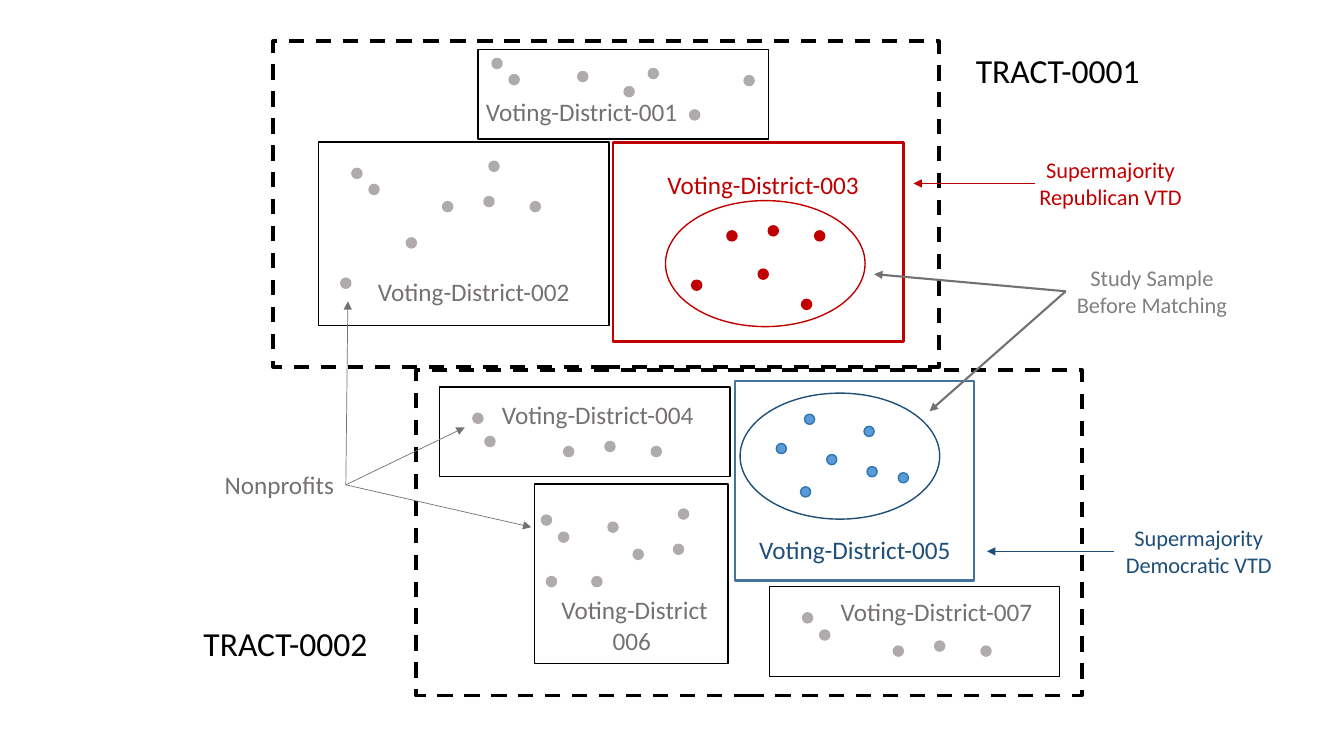
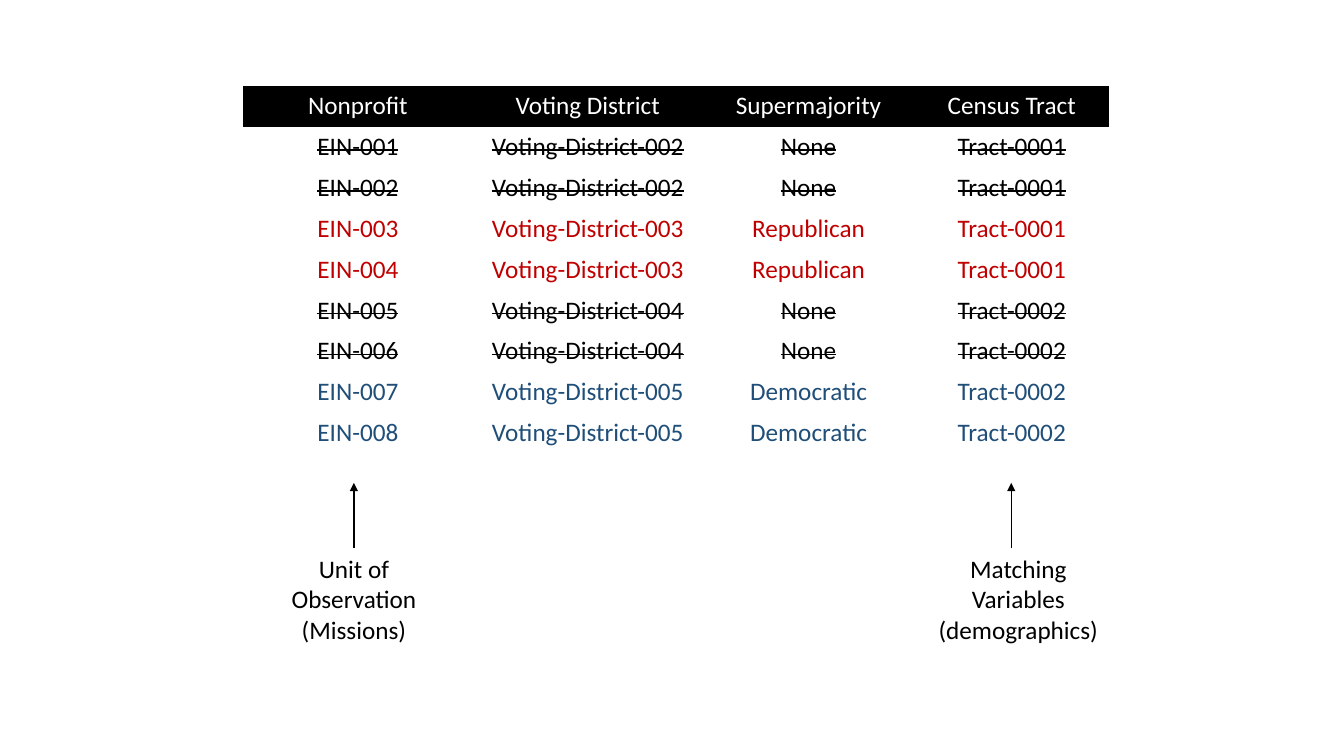
from pptx import Presentation
from pptx.dml.color import RGBColor
from pptx.enum.dml import MSO_LINE
from pptx.enum.shapes import MSO_CONNECTOR, MSO_SHAPE
from pptx.enum.text import MSO_AUTO_SIZE, PP_ALIGN
from pptx.oxml.ns import qn
from pptx.oxml.xmlchemy import OxmlElement
from pptx.util import Inches, Pt

RECT, OVAL = MSO_SHAPE.RECTANGLE, MSO_SHAPE.OVAL
DASH, STRAIGHT = MSO_LINE.DASH, MSO_CONNECTOR.STRAIGHT
LEFT, CENTER = PP_ALIGN.LEFT, PP_ALIGN.CENTER
GROW = MSO_AUTO_SIZE.SHAPE_TO_FIT_TEXT
FONT = "Calibri"
NO_GRID = "{2D5ABB26-0587-4C30-8999-92F81FD0307C}"
HEX = {
    "black": "000000", "white": "FFFFFF", "red": "C00000", "navy": "1F4E79",
    "steel": "43739E", "sky": "5B9BD5", "rim": "2E75B6", "dot": "AFABAB",
    "gray": "767171", "mid": "808080",
}
RGB = {name: RGBColor.from_string(code) for name, code in HEX.items()}


def write(slide, text, at, size, color, align=LEFT, wrap=False, fill=None):
    box = slide.shapes.add_textbox(*map(Inches, at))
    if fill:
        box.fill.solid()
        box.fill.fore_color.rgb = RGB[fill]
    frame = box.text_frame
    frame.word_wrap = wrap
    frame.auto_size = GROW
    frame.text = text
    for para in frame.paragraphs:
        para.alignment = align
        para.font.name = FONT
        para.font.size = Pt(size)
        para.font.color.rgb = RGB[color]


def arrow(slide, start, end, color, width):
    link = slide.shapes.add_connector(STRAIGHT, *map(Inches, start + end))
    link.line.color.rgb = RGB[color]
    link.line.width = Pt(width)
    props = link._element.spPr
    head = OxmlElement("a:tailEnd")
    head.set("type", "triangle")
    props.find(qn("a:ln")).append(head)
    props.append(OxmlElement("a:effectLst"))


deck = Presentation()
deck.slide_width, deck.slide_height = Inches(13.33), Inches(7.5)
blank = deck.slide_layouts[6]

# Slide 1: map of tracts and voting districts
map_slide = deck.slides.add_slide(blank)

# Tracts, districts and study samples: kind, place, line colour, width
areas = [
    (RECT, (6.08, 1.41, 2.88, 1.98), "red", 2),
    (RECT, (4.36, 3.84, 2.88, 0.89), "black", 1),
    (RECT, (7.29, 3.78, 2.37, 1.98), "steel", 2),
    (RECT, (2.71, 0.41, 6.6, 3.23), "black", 2.75),
    (RECT, (4.74, 0.49, 2.88, 0.89), "black", 1),
    (RECT, (3.16, 1.41, 2.88, 1.82), "black", 1),
    (RECT, (4.13, 3.67, 6.6, 3.23), "black", 2.75),
    (RECT, (7.63, 5.82, 2.88, 0.89), "black", 1),
    (RECT, (5.3, 4.8, 1.92, 1.78), "black", 1),
]
samples = [
    (OVAL, (6.6, 1.99, 1.98, 1.25), "red", 1),
    (OVAL, (7.34, 3.9, 1.98, 1.25), "navy", 1),
]

# Nonprofits: fill, line, left and top of each dot
dots = [
    ("red", "red", [(7.21, 2.29), (6.86, 2.78), (7.62, 2.24), (7.52, 2.67),
                    (8.08, 2.29), (7.95, 2.97)]),
    ("sky", "rim", [(7.98, 4.11), (8.2, 4.51), (7.7, 4.4), (8.57, 4.23),
                    (8.6, 4.63), (7.94, 4.83), (8.91, 4.69)]),
    ("dot", "dot", [
        # District 001
        (4.88, 0.58), (5.73, 0.71), (6.43, 0.68), (6.19, 0.86),
        (6.84, 1.09), (5.05, 0.74), (7.38, 0.75),
        # District 002
        (3.49, 1.67), (4.39, 2), (4.85, 1.6), (4.8, 1.95),
        (5.26, 2), (3.66, 1.83), (3.38, 2.76), (4.03, 2.36),
        # District 004
        (4.69, 4.1), (5.59, 4.43), (6, 4.38), (6.46, 4.43), (4.81, 4.33),
        # District 006
        (5.37, 5.11), (6.28, 5.45), (6.73, 5.05), (6.68, 5.4),
        (6.03, 5.18), (5.54, 5.28), (5.42, 5.72), (5.87, 5.72),
        # District 007
        (7.96, 6.08), (8.86, 6.41), (9.27, 6.36), (9.73, 6.41), (8.13, 6.25),
    ]),
]
marks = [(OVAL, (x, y, 0.1, 0.1), line, 1, fill)
         for fill, line, spots in dots for x, y in spots]

outlines = [area + (None,) for area in areas + samples]
for kind, at, line, width, fill in outlines + marks:
    shape = map_slide.shapes.add_shape(kind, *map(Inches, at))
    shape.shadow.inherit = False
    shape.line.color.rgb = RGB[line]
    shape.line.width = Pt(width)
    if width == 2.75:
        shape.line.dash_style = DASH
    if fill:
        shape.fill.solid()
        shape.fill.fore_color.rgb = RGB[fill]
    else:
        shape.fill.background()

# District names
for number, x, y, color, fill in [
    ("001", 4.72, 0.91, "gray", None),
    ("002", 3.65, 2.69, "gray", "white"),
    ("003", 6.52, 1.63, "red", None),
    ("004", 4.88, 3.91, "gray", "white"),
    ("005", 7.43, 5.25, "navy", "white"),
    ("007", 8.24, 5.87, "gray", "white"),
]:
    write(map_slide, f"Voting-District-{number} ", (x, y, 2.19, 0.4), 18,
          color, fill=fill)
write(map_slide, "Voting-District\n006 ", (5.46, 5.85, 1.67, 0.71), 18,
      "gray", CENTER, fill="white")

# Tract names and callouts
write(map_slide, "TRACT-0001", (9.58, 0.45, 1.87, 0.5), 24, "black")
write(map_slide, "TRACT-0002", (1.92, 6.13, 1.87, 0.5), 24, "black")
write(map_slide, "Nonprofits", (2.13, 4.61, 1.3, 0.4), 18, "gray")
for text, at, color in [
    ("Supermajority\nRepublican VTD", (10.2, 1.5, 1.63, 0.64), "red"),
    ("Supermajority\nDemocratic VTD", (11.05, 5.15, 1.68, 0.64), "navy"),
    ("Study Sample\vBefore Matching", (10.57, 2.57, 1.71, 0.64), "mid"),
]:
    write(map_slide, text, at, 16, color, CENTER)

# Arrows from the callouts
for start, ends, color, width in [
    ((3.43, 4.81), [(5.27, 5.23), (4.61, 4.24), (3.45, 2.99)], "gray", 0.5),
    ((10.27, 1.82), [(9.06, 1.82)], "red", 0.75),
    ((11.05, 5.47), [(9.79, 5.47)], "navy", 1),
    ((10.57, 2.89), [(8.67, 2.72), (9.22, 4.08)], "gray", 1.5),
]:
    for end in ends:
        arrow(map_slide, start, end, color, width)

# Slide 2: table of nonprofits
list_slide = deck.slides.add_slide(blank)
rows = [("Nonprofit", "Voting District", "Supermajority", "Census Tract")]
groups = [("002", "None", "0001"), ("003", "Republican", "0001"),
          ("004", "None", "0002"), ("005", "Democratic", "0002")]
for i in range(8):
    area, party, tract = groups[i // 2]
    rows.append((f"EIN-{i + 1:03}", f"Voting-District-{area}", party,
                 f"Tract-{tract}"))
tints = {"None": "black", "Republican": "red", "Democratic": "navy"}

grid = list_slide.shapes.add_table(
    len(rows), 4, Inches(2.41), Inches(0.85), Inches(8.59), Inches(3.65)).table
grid._tbl.tblPr.find(qn("a:tableStyleId")).text = NO_GRID
for col, width in zip(grid.columns, (2.28, 2.28, 2.1, 1.93)):
    col.width = Inches(width)
for r, row in enumerate(rows):
    for c, text in enumerate(row):
        cell = grid.cell(r, c)
        cell.text = text
        para = cell.text_frame.paragraphs[0]
        para.alignment = CENTER
        para.font.name = FONT
        para.font.size = Pt(18)
        para.font.color.rgb = RGB[tints.get(row[2], "white")]
        if r == 0:
            cell.fill.solid()
            cell.fill.fore_color.rgb = RGB["black"]
        else:
            cell.fill.background()
        if row[2] == "None":
            para.runs[0]._r.get_or_add_rPr().set("strike", "sngStrike")

# Notes under the first and last columns
write(list_slide, "Unit of Observation (Missions)", (2.52, 5.44, 1.98, 1.01),
      18, "black", CENTER, wrap=True)
write(list_slide, "Matching\vVariables\n(demographics)",
      (9.2, 5.44, 1.8, 1.01), 18, "black", CENTER)
for x in (3.51, 10.03):
    arrow(list_slide, (x, 5.44), (x, 4.79), "black", 1)

deck.save("out.pptx")
